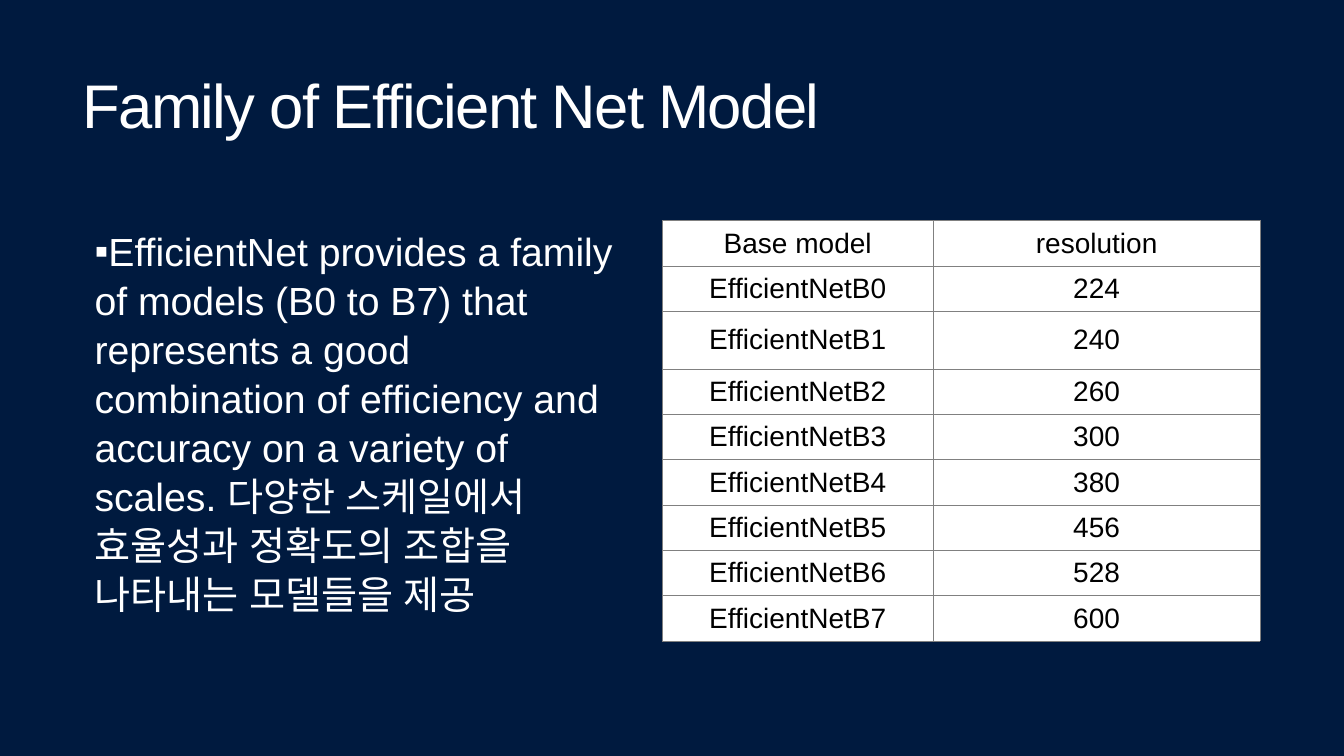
from typing import NamedTuple

from lxml import etree
from pptx import Presentation
from pptx.dml.color import RGBColor
from pptx.enum.text import MSO_ANCHOR, PP_ALIGN
from pptx.oxml.ns import qn
from pptx.util import Pt

MIDDLE, TOP = MSO_ANCHOR.MIDDLE, MSO_ANCHOR.TOP
LEFT, CENTER = PP_ALIGN.LEFT, PP_ALIGN.CENTER
FONT = "Arial"
NAVY, WHITE, BLACK, GRAY = "001A3F", "FFFFFF", "000000", "808080"


class Box(NamedTuple):
    left: float
    top: float
    width: float
    height: float


class Model(NamedTuple):
    name: str
    size: str


HEAD = Box(51.8, 0, 848.2, 156.2)
BODY = Box(53.3, 157.7, 396.7, 382.3)
GRID = Box(473, 157.7, 427, 300.2)
COLS = (193.7, 233.3)
ROW, TALL = 32.4, 41
TALL_ROW = 2

SIZES = (224, 240, 260, 300, 380, 456, 528, 600)
MODELS = [Model("Base model", "resolution")] + [
    Model(f"EfficientNetB{i}", str(size)) for i, size in enumerate(SIZES)
]


def color(code: str) -> RGBColor:
    return RGBColor.from_string(code)


def write(frame, text: str, *, size: float, ink: str, align=LEFT,
          line: float = 1, track: int = 0, bullet: str = "", indent: float = 0) -> None:
    """Fill a text frame with one formatted paragraph; track is in 1/100 pt."""
    para = frame.paragraphs[0]
    para.alignment = align
    para.line_spacing = line
    if bullet:
        props = para._p.get_or_add_pPr()
        props.set("marL", str(Pt(indent)))
        props.set("indent", "0")
        etree.SubElement(props, qn("a:buFont")).set("typeface", FONT)
        etree.SubElement(props, qn("a:buChar")).set("char", bullet)
    run = para.add_run()
    run.text = text
    run.font.size = Pt(size)
    run.font.name = FONT
    run.font.color.rgb = color(ink)
    props = run._r.get_or_add_rPr()
    etree.SubElement(props, qn("a:ea")).set("typeface", FONT)
    if track:
        props.set("spc", str(track))


def add_text(slide, box: Box, text: str, anchor=TOP, **style) -> None:
    frame = slide.shapes.add_textbox(*map(Pt, box)).text_frame
    frame.word_wrap = True
    frame.vertical_anchor = anchor
    write(frame, text, **style)


def add_edges(cell, ink: str, width: float) -> None:
    """Draw the four borders of a cell, placed before its fill."""
    props = cell._tc.get_or_add_tcPr()
    for i, side in enumerate(("lnL", "lnR", "lnT", "lnB")):
        edge = etree.Element(qn(f"a:{side}"), w=str(Pt(width)))
        fill = etree.SubElement(edge, qn("a:solidFill"))
        etree.SubElement(fill, qn("a:srgbClr")).set("val", ink)
        props.insert(i, edge)


def add_grid(slide, box: Box, models: list[Model]) -> None:
    table = slide.shapes.add_table(len(models), len(COLS), *map(Pt, box)).table
    table.first_row = table.horz_banding = False
    for col, width in zip(table.columns, COLS):
        col.width = Pt(width)
    for r, model in enumerate(models):
        table.rows[r].height = Pt(TALL if r == TALL_ROW else ROW)
        for c, text in enumerate(model):
            cell = table.cell(r, c)
            cell.vertical_anchor = MIDDLE
            cell.fill.solid()
            cell.fill.fore_color.rgb = color(WHITE)
            add_edges(cell, GRAY, 0.6)
            write(cell.text_frame, text, size=20, ink=BLACK, align=CENTER)


def main() -> None:
    deck = Presentation()
    deck.slide_width, deck.slide_height = Pt(960), Pt(540)
    slide = deck.slides.add_slide(deck.slide_layouts[6])
    slide.background.fill.solid()
    slide.background.fill.fore_color.rgb = color(NAVY)
    add_text(slide, HEAD, "Family of Efficient Net Model", MIDDLE,
             size=44, ink=WHITE, line=0.85, track=-120)
    add_text(slide, BODY,
             "EfficientNet provides a family of models (B0 to B7) that represents "
             "a good combination of efficiency and accuracy on a variety of scales. "
             "다양한 스케일에서 효율성과 정확도의 조합을 나타내는 모델들을 제공",
             size=28, ink=WHITE, line=1.04, bullet="▪", indent=7.2)
    add_grid(slide, GRID, MODELS)
    deck.save("out.pptx")


if __name__ == "__main__":
    main()
